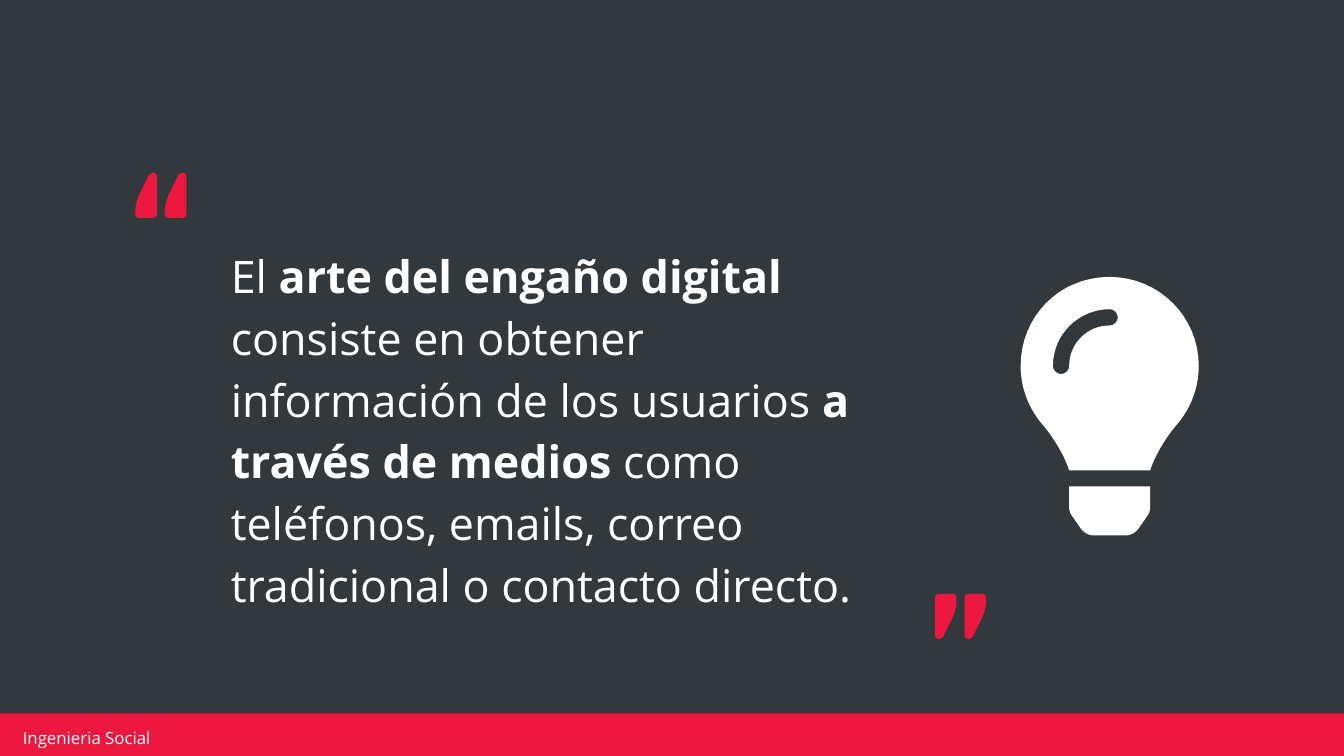
"""Build a quotation slide about social engineering with a light bulb icon."""
from pptx import Presentation
from pptx.dml.color import RGBColor as RGB
from pptx.enum.shapes import MSO_SHAPE as Shape
from pptx.enum.text import MSO_ANCHOR as Anchor
from pptx.util import Pt

FONT = "Open Sans"
HUES = {"back": "33383C", "red": "EC183F", "white": "FFFFFF"}
FOOT = [("Ingenieria Social", False)]
QUOTE = [
    ("El ", False),
    ("arte del engaño digital", True),
    (" consiste en obtener información de los usuarios ", False),
    ("a través de medios", True),
    (" como teléfonos, emails, correo tradicional o contacto directo.", False),
]

MARK = [(9.4, 0), (8, 0.7), (7.2, 1.4), (2.2, 11.5), (1, 14.5), (0.2, 17.5),
        (0, 19.5), (0, 23), (0.7, 24), (1.8, 24.3), (9.8, 24.3), (11, 23.8),
        (11.5, 22.5), (11.5, 2), (11, 0.8)]
GAP = 15.8
PAIRS = [(72.6, 92.4, 0), (500.9, 318.2, 180)]

BULB_AT = (546.8, 148.4)
BASE = [(26, 112.2), (69.4, 112.2), (69.4, 123.3),
        (69.4, 124.8, 69, 126.5, 68, 127.8), (63, 135),
        (61.3, 137.2, 58.7, 138.5, 55.9, 138.5), (39.5, 138.5),
        (36.7, 138.5, 34.1, 137.2, 32.4, 135), (27.4, 127.8),
        (26.4, 126.5, 26, 124.8, 26, 123.3)]
GLASS = [(0, 47.6), (0, 59.7, 4.5, 70.8, 11.9, 79.3),
         (16.4, 84.4, 23.4, 95, 26, 103.7), (69.4, 103.7),
         (72, 95, 79, 84.4, 83.5, 79.3),
         (90.9, 70.8, 95.4, 59.7, 95.4, 47.6),
         (95.4, 21.3, 74, 0, 47.7, 0), (20, 0, 0, 22, 0, 47.6)]
GLINT = [(47.7, 26), (35.7, 26, 26, 35.7, 26, 47.6),
         (26, 50, 24, 52, 21.7, 52), (19.3, 52, 17.3, 50, 17.3, 47.6),
         (17.3, 30.9, 30.9, 17.3, 47.7, 17.3),
         (50, 17.3, 52, 19.3, 52, 21.7), (52, 24, 50, 26, 47.7, 26)]


def hue(name):
    return RGB.from_string(HUES[name])


def paint(shape, name):
    shape.shadow.inherit = False
    shape.fill.solid()
    shape.fill.fore_color.rgb = hue(name)
    shape.line.fill.background()


def trace(steps, steps_per=16):
    dots = []
    for step in steps:
        if len(step) == 2:
            dots.append(step)
            continue
        ax, ay = dots[-1]
        bx, by, cx, cy, dx, dy = step
        for i in range(1, steps_per + 1):
            t = i / steps_per
            u = 1 - t
            w = (u ** 3, 3 * u * u * t, 3 * u * t * t, t ** 3)
            dots.append((w[0] * ax + w[1] * bx + w[2] * cx + w[3] * dx,
                         w[0] * ay + w[1] * by + w[2] * cy + w[3] * dy))
    return dots


def draw(slide, loops, left, top, name):
    pen = None
    for loop in loops:
        dots = [(Pt(left + x), Pt(top + y)) for x, y in trace(loop)]
        if pen is None:
            pen = slide.shapes.build_freeform(*dots[0])
        else:
            pen.move_to(*dots[0])
        pen.add_line_segments(dots[1:], close=True)
    shape = pen.convert_to_shape()
    paint(shape, name)
    return shape


def write(slide, box, parts, size, pad, gap):
    frame = slide.shapes.add_textbox(*map(Pt, box)).text_frame
    frame.word_wrap = True
    frame.vertical_anchor = Anchor.MIDDLE
    frame.margin_left = frame.margin_right = Pt(2 * pad)
    frame.margin_top = frame.margin_bottom = Pt(pad)
    para = frame.paragraphs[0]
    para.line_spacing = gap
    for text, bold in parts:
        run = para.add_run()
        run.text = text
        font = run.font
        font.name, font.size, font.bold = FONT, Pt(size), bold
        font.color.rgb = hue("white")


def main():
    deck = Presentation()
    deck.slide_width, deck.slide_height = Pt(720), Pt(405)
    slide = deck.slides.add_slide(deck.slide_layouts[6])
    slide.background.fill.solid()
    slide.background.fill.fore_color.rgb = hue("back")

    band = slide.shapes.add_shape(
        Shape.RECTANGLE, *map(Pt, (-1.2, 382.2, 722.4, 26)))
    paint(band, "red")
    write(slide, (8.64, 390, 172, 11), FOOT, 9, 1.8, 1)
    write(slide, (116.6, 148.3, 355.7, 160), QUOTE, 24, 3.6, 1.15)

    draw(slide, [BASE, GLASS, GLINT], *BULB_AT, "white")
    for left, top, turn in PAIRS:
        for i in range(2):
            mark = draw(slide, [MARK], left + i * GAP, top, "red")
            mark.rotation = turn
    deck.save("out.pptx")


if __name__ == "__main__":
    main()
